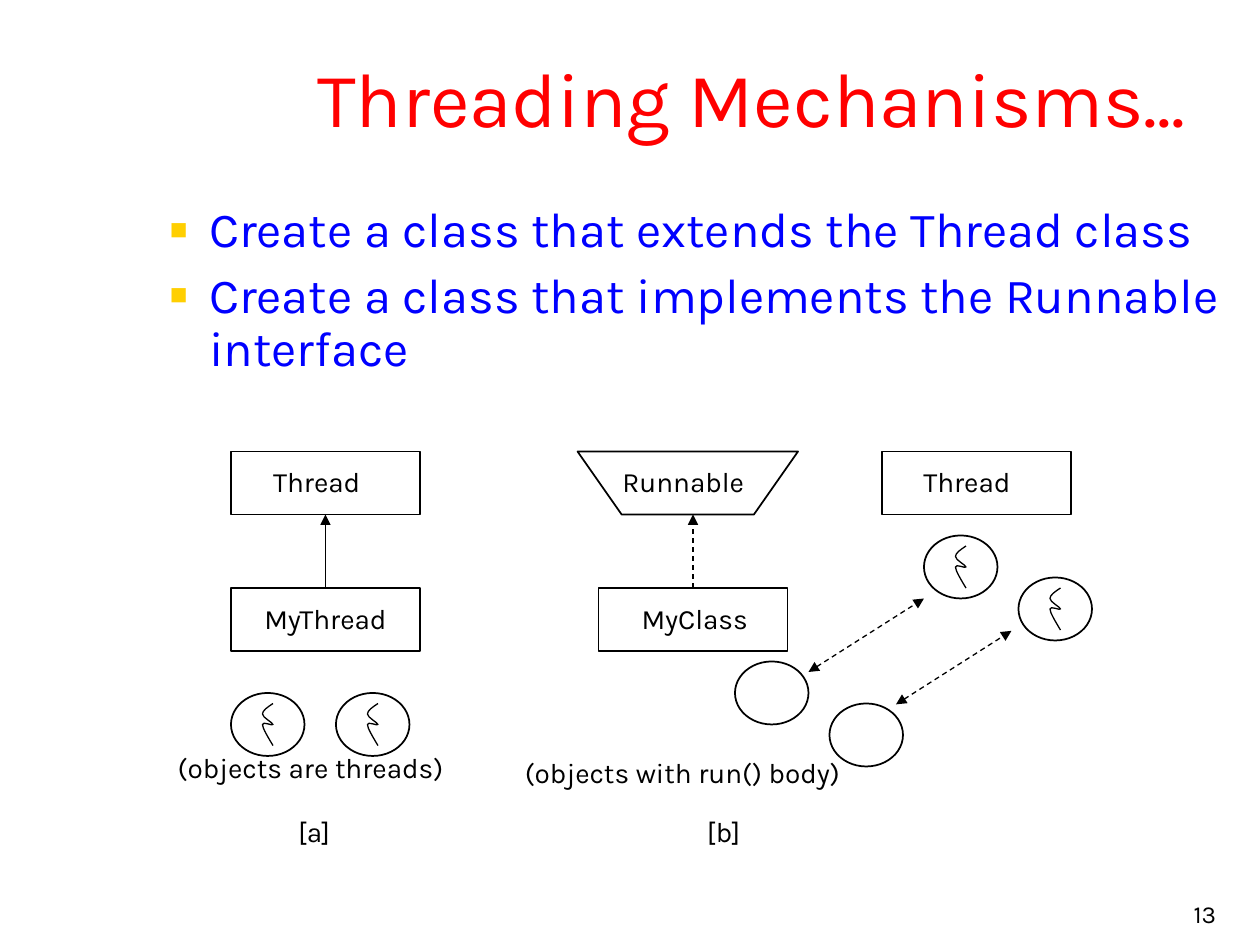
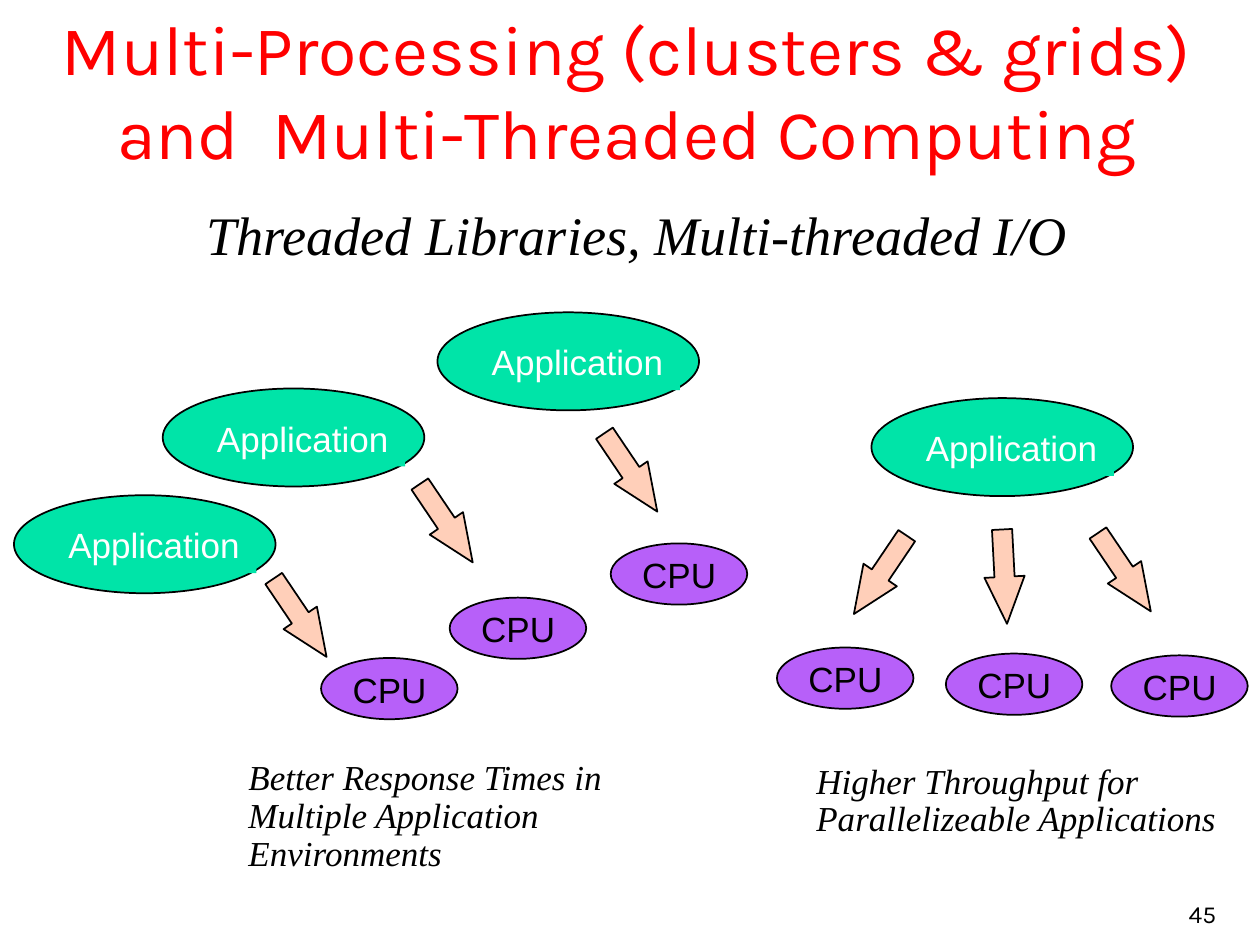
from dataclasses import dataclass
from typing import NamedTuple

from lxml.etree import SubElement
from pptx import Presentation
from pptx.dml.color import RGBColor
from pptx.enum.dml import MSO_LINE as Dash
from pptx.enum.shapes import MSO_CONNECTOR as Connector, MSO_SHAPE as Preset
from pptx.enum.text import MSO_ANCHOR as Anchor, MSO_AUTO_SIZE as AutoSize, PP_ALIGN as Align
from pptx.oxml.ns import qn
from pptx.util import Emu, Pt

EMU_PER_PX = 6350


def px(length: int) -> Emu:
    return Emu(length * EMU_PER_PX)


@dataclass(frozen=True)
class Theme:
    title: str = "FF0000"
    bullet_text: str = "0000FF"
    bullet_mark: str = "FFCF01"
    ink: str = "000000"
    paper: str = "FFFFFF"
    application: str = "00E4A8"
    cpu: str = "B760F9"
    arrow: str = "FFCFB9"
    main_font: str = "Karla"
    node_font: str = "Arial"
    note_font: str = "Times New Roman"
    short_title_size: int = 44
    long_title_size: int = 40
    subtitle_size: int = 31
    bullet_size: int = 28
    node_size: int = 20
    label_size: int = 16
    number_size: int = 14
    outline: float = 1
    thin_line: float = 0.75


THEME = Theme()


@dataclass(frozen=True)
class TextStyle:
    size: int
    font: str = THEME.main_font
    color: str = THEME.ink
    italic: bool = False
    align: Align = Align.LEFT
    anchor: Anchor = Anchor.TOP
    line_spacing: float = 1
    before: float = 0
    after: float = 0
    inset: tuple[int, int] = (14, 7)
    wrap: bool = True
    grow: bool = False
    bulleted: bool = False
    fill: str | None = None


ROOMY = {"inset": (16, 8), "grow": True}
SPACED = {"line_spacing": 0.9, "before": 10, "after": 7.5, **ROOMY}
TITLE = {"color": THEME.title, "align": Align.CENTER, "anchor": Anchor.MIDDLE}
SHORT_TITLE = TextStyle(THEME.short_title_size, line_spacing=0.9, **TITLE)
LONG_TITLE = TextStyle(THEME.long_title_size, fill=THEME.paper, **TITLE)
PAGE_NUMBER = TextStyle(THEME.number_size, align=Align.RIGHT, anchor=Anchor.BOTTOM)
BULLETS = TextStyle(THEME.bullet_size, color=THEME.bullet_text, line_spacing=0.9, before=7,
                    bulleted=True)
LABEL = TextStyle(THEME.label_size, align=Align.CENTER, wrap=False, grow=True)
SUBTITLE = TextStyle(THEME.subtitle_size, THEME.note_font, italic=True, align=Align.CENTER,
                     wrap=False, **ROOMY)
NOTE = TextStyle(THEME.node_size, THEME.note_font, italic=True, **SPACED)
APPLICATION_TEXT = TextStyle(THEME.node_size, THEME.node_font, THEME.paper, wrap=False,
                             fill=THEME.application, **SPACED)
CPU_TEXT = TextStyle(THEME.node_size, THEME.node_font, wrap=False, **SPACED)


class Box(NamedTuple):
    left: int
    top: int
    width: int
    height: int

    def emu(self) -> list[Emu]:
        return [px(length) for length in self]


class Label(NamedTuple):
    text: str
    box: Box


class Link(NamedTuple):
    start: tuple[int, int]
    end: tuple[int, int]
    dashed: bool = True
    two_way: bool = False


class ThreadObject(NamedTuple):
    left: int
    top: int
    running: bool


class BlockArrow(NamedTuple):
    left: int
    top: int
    angle: int


@dataclass(frozen=True)
class NodeKind:
    text: str
    fill: str
    size: tuple[int, int]
    text_box: Box
    text_style: TextStyle


APPLICATION = NodeKind("Application", THEME.application, (299, 112), Box(46, 30, 231, 59),
                       APPLICATION_TEXT)
CPU = NodeKind("CPU", THEME.cpu, (156, 70), Box(20, 9, 117, 59), CPU_TEXT)

CLASS_SIZE = (216, 72)
CLASS_CORNERS = [(264, 516), (264, 672), (684, 672), (1008, 516)]
INTERFACE = Box(660, 516, 252, 72)
LABELS = [
    Label("Thread", Box(294, 524, 136, 53)),
    Label("MyThread", Box(282, 680, 180, 53)),
    Label("Runnable", Box(695, 524, 172, 53)),
    Label("MyClass", Box(717, 680, 154, 53)),
    Label("Thread", Box(1037, 524, 136, 53)),
    Label("(objects are threads)", Box(187, 851, 336, 53)),
    Label("(objects with run() body)", Box(584, 857, 392, 92)),
    Label("[a]", Box(325, 924, 68, 53)),
    Label("[b]", Box(792, 924, 70, 53)),
]
LINKS = [
    Link((372, 672), (372, 588), dashed=False),
    Link((792, 672), (792, 588)),
    Link((924, 768), (1056, 684), two_way=True),
    Link((1024, 805), (1156, 721), two_way=True),
]
OBJECT_SIZE = (84, 72)
OBJECTS = [
    ThreadObject(264, 792, True),
    ThreadObject(384, 792, True),
    ThreadObject(1056, 612, True),
    ThreadObject(1164, 660, True),
    ThreadObject(840, 756, False),
    ThreadObject(948, 804, False),
]
SQUIGGLE_OFFSET = (36, 12)
SQUIGGLE_START = (12, 0)
SQUIGGLE_CURVES = [
    [(6, 4), (0, 8), (0, 12)],
    [(0, 16), (12, 22), (12, 24)],
    [(12, 26), (0, 20), (0, 24)],
    [(0, 28), (6, 38), (12, 48)],
]

APPLICATION_CORNERS = [(500, 357), (186, 444), (996, 455), (16, 566)]
CPU_CORNERS = [(367, 752), (514, 683), (698, 621), (888, 740), (1081, 747), (1270, 749)]
ARROW_SIZE = (108, 46)
ARROWS = [
    BlockArrow(289, 683, 56),
    BlockArrow(456, 575, 56),
    BlockArrow(667, 517, 56),
    BlockArrow(1231, 631, 56),
    BlockArrow(1094, 636, 87),
    BlockArrow(952, 634, 124),
]


def add_bullet(para) -> None:
    props = para._p.get_or_add_pPr()
    props.set("marL", str(px(45)))
    props.set("indent", str(px(-45)))
    mark_color = SubElement(props, qn("a:buClr"))
    SubElement(mark_color, qn("a:srgbClr"), val=THEME.bullet_mark)
    SubElement(props, qn("a:buSzPct"), val="60000")
    SubElement(props, qn("a:buFont"), typeface=THEME.node_font)
    SubElement(props, qn("a:buChar"), char="■")


def add_text(page, box: Box, style: TextStyle, *lines: str) -> None:
    text_box = page.shapes.add_textbox(*box.emu())
    if style.fill:
        text_box.fill.solid()
        text_box.fill.fore_color.rgb = RGBColor.from_string(style.fill)
    frame = text_box.text_frame
    frame.word_wrap = style.wrap
    frame.auto_size = AutoSize.SHAPE_TO_FIT_TEXT if style.grow else AutoSize.NONE
    frame.vertical_anchor = style.anchor
    frame.margin_left = frame.margin_right = px(style.inset[0])
    frame.margin_top = frame.margin_bottom = px(style.inset[1])
    for index, line in enumerate(lines):
        para = frame.add_paragraph() if index else frame.paragraphs[0]
        para.alignment = style.align
        para.line_spacing = style.line_spacing
        para.space_before = Pt(style.before)
        para.space_after = Pt(style.after)
        if style.bulleted:
            add_bullet(para)
        span = para.add_run()
        span.text = line
        span.font.name = style.font
        span.font.size = Pt(style.size)
        span.font.italic = style.italic
        span.font.color.rgb = RGBColor.from_string(style.color)


def finish_shape(shape, fill: str | None, width: float) -> None:
    shape.shadow.inherit = False
    if fill:
        shape.fill.solid()
        shape.fill.fore_color.rgb = RGBColor.from_string(fill)
    else:
        shape.fill.background()
    shape.line.color.rgb = RGBColor.from_string(THEME.ink)
    shape.line.width = Pt(width)


def add_outline(page, preset: Preset, box: Box, fill: str | None = None):
    shape = page.shapes.add_shape(preset, *box.emu())
    finish_shape(shape, fill, THEME.outline)
    return shape


def add_link(page, link: Link) -> None:
    ends = [px(length) for length in (*link.start, *link.end)]
    connector = page.shapes.add_connector(Connector.STRAIGHT, *ends)
    connector.line.color.rgb = RGBColor.from_string(THEME.ink)
    connector.line.width = Pt(THEME.thin_line)
    if link.dashed:
        connector.line.dash_style = Dash.DASH
    props = connector._element.spPr
    stroke = props.find(qn("a:ln"))
    if link.two_way:
        SubElement(stroke, qn("a:headEnd"), type="triangle")
    SubElement(stroke, qn("a:tailEnd"), type="triangle")
    SubElement(props, qn("a:effectLst"))


def add_squiggle(page, left: int, top: int) -> None:
    builder = page.shapes.build_freeform(*SQUIGGLE_START, scale=EMU_PER_PX)
    for curve in SQUIGGLE_CURVES:
        builder.add_line_segments(curve, close=False)
    shape = builder.convert_to_shape(px(left), px(top))
    outline = next(shape._element.iter(qn("a:moveTo"))).getparent()
    segments = outline.findall(qn("a:lnTo"))
    for first in range(0, len(segments), 3):
        bend = SubElement(outline, qn("a:cubicBezTo"))
        for segment in segments[first:first + 3]:
            bend.append(segment[0])
            outline.remove(segment)
    finish_shape(shape, None, THEME.thin_line)


def add_thread_object(page, item: ThreadObject) -> None:
    add_outline(page, Preset.OVAL, Box(item.left, item.top, *OBJECT_SIZE))
    if item.running:
        add_squiggle(page, item.left + SQUIGGLE_OFFSET[0], item.top + SQUIGGLE_OFFSET[1])


def add_node(page, kind: NodeKind, left: int, top: int) -> None:
    add_outline(page, Preset.OVAL, Box(left, top, *kind.size), kind.fill)
    inner = kind.text_box
    box = Box(left + inner.left, top + inner.top, inner.width, inner.height)
    add_text(page, box, kind.text_style, kind.text)


def add_block_arrow(page, arrow: BlockArrow) -> None:
    box = Box(arrow.left, arrow.top, *ARROW_SIZE)
    shape = add_outline(page, Preset.RIGHT_ARROW, box, THEME.arrow)
    shape.adjustments[0] = 0.5
    shape.adjustments[1] = 1.17
    shape.rotation = arrow.angle


def add_page(deck, title: str, title_box: Box, title_style: TextStyle, number: int):
    page = deck.slides.add_slide(deck.slide_layouts[6])
    add_text(page, title_box, title_style, title)
    add_text(page, Box(1104, 996, 300, 72), PAGE_NUMBER, str(number))
    return page


def add_mechanisms(deck) -> None:
    page = add_page(deck, "Threading Mechanisms...", Box(285, 33, 1149, 168), SHORT_TITLE, 13)
    add_text(page, Box(180, 228, 1254, 288), BULLETS,
             "Create a class that extends the Thread class",
             "Create a class that implements the Runnable interface")
    for corner in CLASS_CORNERS:
        add_outline(page, Preset.RECTANGLE, Box(*corner, *CLASS_SIZE))
    add_outline(page, Preset.FLOWCHART_MANUAL_OPERATION, INTERFACE)
    for item in OBJECTS:
        add_thread_object(page, item)
    for link in LINKS:
        add_link(page, link)
    for label in LABELS:
        add_text(page, label.box, LABEL, label.text)


def add_computing(deck) -> None:
    title = "Multi-Processing (clusters & grids) and  Multi-Threaded Computing"
    page = add_page(deck, title, Box(24, 24, 1384, 156), LONG_TITLE, 45)
    add_text(page, Box(217, 222, 1020, 91), SUBTITLE, "Threaded Libraries, Multi-threaded I/O")
    for kind, corners in ((APPLICATION, APPLICATION_CORNERS), (CPU, CPU_CORNERS)):
        for corner in corners:
            add_node(page, kind, *corner)
    for arrow in ARROWS:
        add_block_arrow(page, arrow)
    add_text(page, Box(268, 861, 523, 145), NOTE,
             "Better Response Times in Multiple Application Environments")
    add_text(page, Box(917, 865, 523, 102), NOTE,
             "Higher Throughput for Parallelizeable Applications")


def main() -> None:
    deck = Presentation()
    deck.slide_width, deck.slide_height = px(1440), px(1080)
    add_mechanisms(deck)
    add_computing(deck)
    deck.save("out.pptx")


if __name__ == "__main__":
    main()
